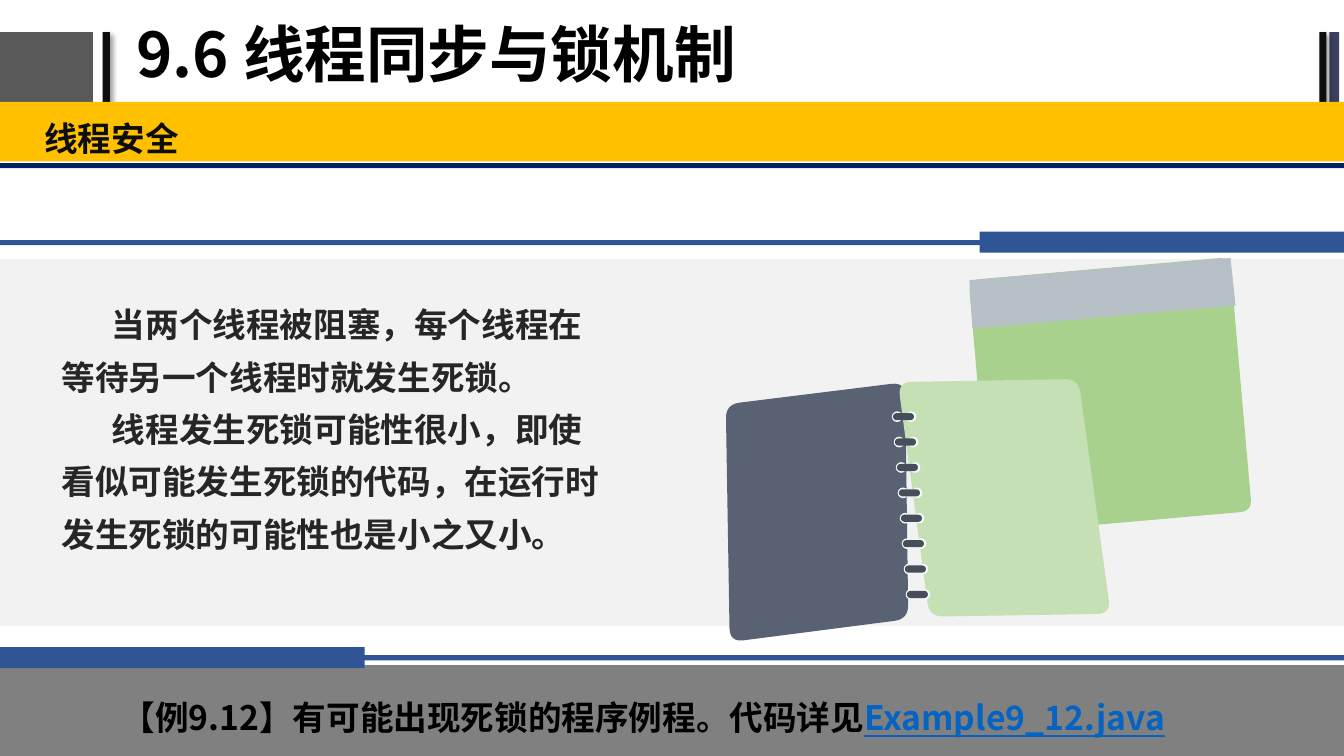
import pptx
import pptx.dml.color
import pptx.enum.shapes
import pptx.enum.text
import pptx.oxml
import pptx.oxml.ns
import pptx.util

Cm, Pt = pptx.util.Cm, pptx.util.Pt
RGBColor = pptx.dml.color.RGBColor
Shape = pptx.enum.shapes.MSO_SHAPE
Anchor = pptx.enum.text.MSO_ANCHOR

FONT = "Noto Sans CJK SC"
BLACK = RGBColor(0x00, 0x00, 0x00)
INK = RGBColor(0x0D, 0x0D, 0x0D)
BODY = RGBColor(0x26, 0x26, 0x26)
DARK_GREY = RGBColor(0x59, 0x59, 0x59)
MID_GREY = RGBColor(0x80, 0x80, 0x80)
PALE_GREY = RGBColor(0xF2, 0xF2, 0xF2)
INDIGO = RGBColor(0x3B, 0x3F, 0x60)
NAVY = RGBColor(0x00, 0x20, 0x60)
BLUE = RGBColor(0x2F, 0x55, 0x97)
YELLOW = RGBColor(0xFF, 0xC0, 0x00)
GREEN = RGBColor(0xA9, 0xD1, 0x8E)
LIGHT_GREEN = RGBColor(0xC5, 0xE0, 0xB4)
SILVER = RGBColor(0xB7, 0xBF, 0xC7)
SLATE = RGBColor(0x58, 0x62, 0x73)
RING = RGBColor(0x46, 0x4E, 0x5C)
HOLE = RGBColor(0xF7, 0xF9, 0xF8)
LINK = RGBColor(0x05, 0x63, 0xC1)

# Content; all lengths are in centimetres
WIDTH, HEIGHT = 33.87, 19.05
TITLE = "9.6 线程同步与锁机制"
SUBTITLE = "线程安全"
PARAGRAPHS = [
    "当两个线程被阻塞，每个线程在等待另一个线程时就发生死锁。",
    "线程发生死锁可能性很小，即使看似可能发生死锁的代码，在运行时发生死锁的可能性也是小之又小。",
]
EXAMPLE = ["【例9.12】有可能出现死锁的程序例程。代码详见", "Example9_12.java"]

# left, top, width, height, colour, shadow
BARS = [
    (-0.05, 0.81, 2.39, 1.93, DARK_GREY, False),
    (2.59, 0.81, 0.18, 1.93, INK, True),
    (33.5, 0.81, 0.25, 1.93, INDIGO, False),
    (33.25, 0.81, 0.18, 1.93, INK, True),
    (0, 16.76, WIDTH, 2.29, MID_GREY, False),
    (0, 4.11, WIDTH, 0.13, NAVY, False),
    (-0.1, 2.57, 34.04, 1.5, YELLOW, False),
    (0, 6.53, WIDTH, 9.25, PALE_GREY, False),
    (0, 6.05, WIDTH, 0.13, BLUE, False),
    (24.69, 5.84, 9.18, 0.53, BLUE, False),
    (0, 16.51, WIDTH, 0.13, BLUE, False),
    (0, 16.31, 9.19, 0.53, BLUE, False),
]

# corners clockwise from top left, corner radius, colour
SHEETS = [
    ([(24.41, 7.06), (30.99, 6.48), (31.55, 12.88), (24.97, 13.46)], 0.3, GREEN),
    ([(24.43, 7.06), (31.01, 6.5), (31.14, 7.7), (24.51, 8.28)], 0, SILVER),
    ([(18.29, 10.19), (22.81, 9.63), (22.89, 15.6), (18.39, 16.18)], 0.35, SLATE),
    ([(22.63, 9.63), (27.18, 9.55), (27.99, 15.47), (23.42, 15.54)], 0.35, LIGHT_GREEN),
]
RING_COUNT, RING_START, RING_STEP = 8, (22.77, 10.5), (0.05, 0.64)
HOLE_OFFSETS, HOLE_SIZE, RING_SIZE = (-0.16, 0.19), 0.27, (0.53, 0.18)

SHADOW = (
    '<a:effectLst xmlns:a="http://schemas.openxmlformats.org/drawingml/2006/main">'
    '<a:outerShdw blurRad="50800" dist="38100" dir="2700000" algn="tl" rotWithShape="0">'
    '<a:srgbClr val="000000"><a:alpha val="40000"/></a:srgbClr></a:outerShdw></a:effectLst>'
)

deck = pptx.Presentation()
deck.slide_width, deck.slide_height = Cm(WIDTH), Cm(HEIGHT)
page = deck.slides.add_slide(deck.slide_layouts[5])


def paint(shape, colour):
    shape.shadow.inherit = False
    shape.fill.solid()
    shape.fill.fore_color.rgb = colour
    shape.line.fill.background()
    return shape


def add_centred(kind, x, y, width, height, colour):
    shape = page.shapes.add_shape(
        kind, Cm(x - width / 2), Cm(y - height / 2), Cm(width), Cm(height))
    return paint(shape, colour)


def style(para, size, colour, spacing):
    para.line_spacing = spacing
    font = para.font
    font.name, font.size, font.bold = FONT, Pt(size), True
    font.color.rgb = colour
    properties = para._p.get_or_add_pPr().find(pptx.oxml.ns.qn("a:defRPr"))
    east_asian = properties.makeelement(pptx.oxml.ns.qn("a:ea"), {"typeface": FONT})
    properties.find(pptx.oxml.ns.qn("a:latin")).addnext(east_asian)


def add_text(left, top, width, height, texts, colour, spacing, indent=0):
    box = page.shapes.add_textbox(Cm(left), Cm(top), Cm(width), Cm(height))
    frame = box.text_frame
    frame.word_wrap = True
    frame.margin_left = frame.margin_right = Cm(0.33)
    frame.margin_top = frame.margin_bottom = Cm(0.17)
    frame.text = "\n".join(texts)
    for para in frame.paragraphs:
        para._p.get_or_add_pPr().set("indent", str(Cm(indent)))
        style(para, 24, colour, spacing)
    return frame


def toward(start, end, distance):
    length = ((end[0] - start[0]) ** 2 + (end[1] - start[1]) ** 2) ** 0.5
    return tuple(a + (b - a) * distance / length for a, b in zip(start, end))


def rounded(corners, radius, steps=6):
    if not radius:
        return corners
    points = []
    for index, corner in enumerate(corners):
        enter = toward(corner, corners[index - 1], radius)
        leave = toward(corner, corners[(index + 1) % len(corners)], radius)
        for step in range(steps + 1):
            t = step / steps
            points.append(tuple(
                (1 - t) ** 2 * a + 2 * t * (1 - t) * b + t * t * c
                for a, b, c in zip(enter, corner, leave)))
    return points


# Bands, rules and panels
for left, top, width, height, colour, has_shadow in BARS:
    bar = add_centred(Shape.RECTANGLE, left + width / 2, top + height / 2,
                      width, height, colour)
    if has_shadow:
        effects = bar._element.spPr.find(pptx.oxml.ns.qn("a:effectLst"))
        bar._element.spPr.replace(effects, pptx.oxml.parse_xml(SHADOW))

# Title
title = page.shapes.title
title.left, title.top, title.width, title.height = Cm(3.18), Cm(0.05), Cm(21.51), Cm(2.79)
title.text_frame.text = TITLE
title.text_frame.vertical_anchor = Anchor.MIDDLE
title.text_frame.paragraphs[0].alignment = pptx.enum.text.PP_ALIGN.LEFT
style(title.text_frame.paragraphs[0], 44, BLACK, 0.9)

# Text blocks
add_text(0.79, 2.59, 33.08, 1.47, [SUBTITLE], INK, 1.2)
add_text(1.22, 7.19, 14.27, 6.93, PARAGRAPHS, BODY, 1.3, indent=1.27)
footer = add_text(2.74, 17.2, 29.24, 1.45, EXAMPLE[:1], BLACK, 1.2)
span = footer.paragraphs[0].add_run()
span.text = EXAMPLE[1]
span.font.underline = True
span.font.color.rgb = LINK

# Notebook sheets
for corners, radius, colour in SHEETS:
    points = [(Cm(x), Cm(y)) for x, y in rounded(corners, radius)]
    builder = page.shapes.build_freeform(*points[0])
    builder.add_line_segments(points[1:], close=True)
    paint(builder.convert_to_shape(), colour)

# Binding rings
for index in range(RING_COUNT):
    x, y = (start + index * step for start, step in zip(RING_START, RING_STEP))
    for offset in HOLE_OFFSETS:
        add_centred(Shape.OVAL, x + offset, y, HOLE_SIZE, HOLE_SIZE, HOLE)
    ring = add_centred(Shape.ROUNDED_RECTANGLE, x, y, *RING_SIZE, RING)
    ring.adjustments[0] = 0.5

deck.save("out.pptx")
